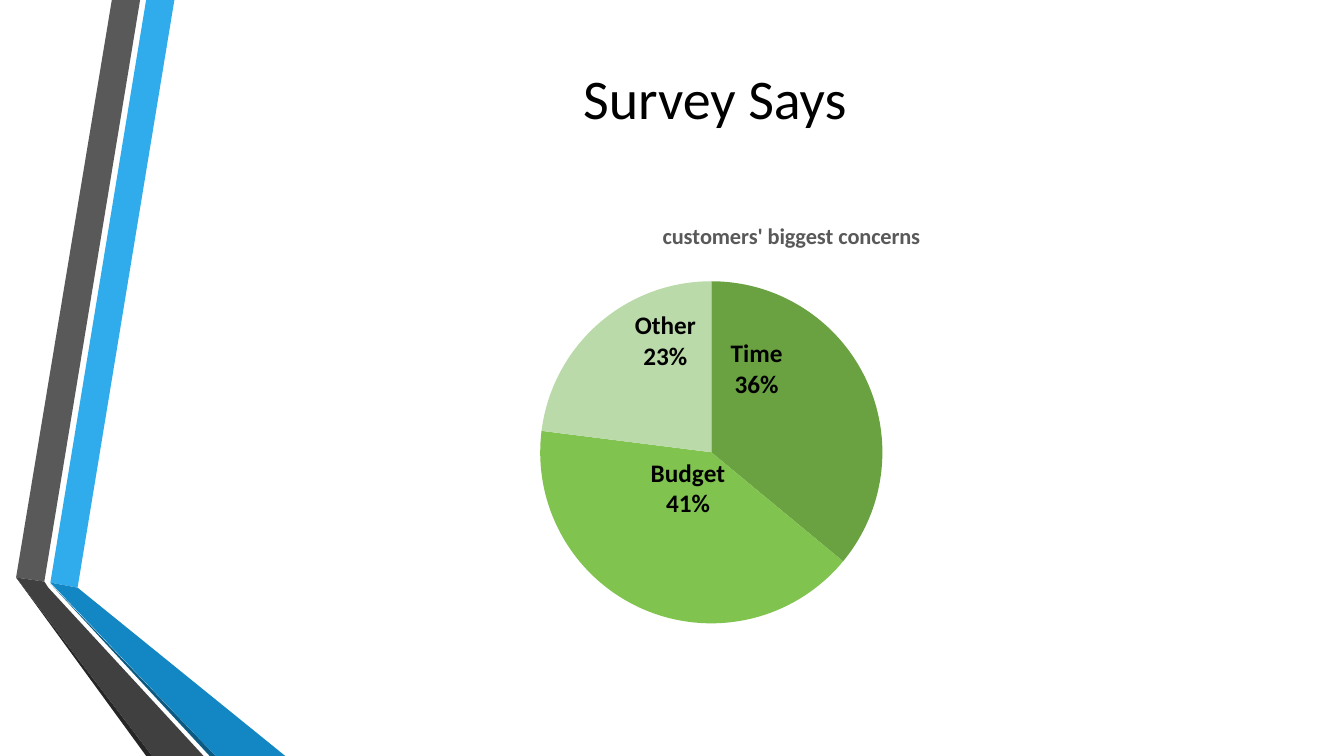
from lxml.etree import SubElement
from pptx import Presentation
from pptx.chart.data import CategoryChartData
from pptx.dml.color import RGBColor
from pptx.enum.chart import XL_CHART_TYPE, XL_LABEL_POSITION
from pptx.enum.text import MSO_ANCHOR, PP_ALIGN
from pptx.oxml import parse_xml
from pptx.oxml.ns import nsdecls, qn
from pptx.util import Inches, Pt

COLUMNS, ROWS = 1333, 750
CELL = Inches(0.01)
FONT = "Calibri"

COLORS = {
    "sky": "30ACEC", "blue": "1287C3", "navy": "0C5A82",
    "gray": "595959", "charcoal": "404040", "coal": "262626",
    "black": "000000",
    "Time": "6AA242", "Budget": "80C34F", "Other": "BADAAA",
}

RIBBONS = [
    ("sky", [(50, 578), (77, 583), (173, 0), (145, 0)]),
    ("gray", [(139, 0), (111, 0), (16, 573), (44, 577)]),
    ("coal", [(16, 573), (145, ROWS), (151, ROWS)]),
    ("navy", [(50, 579), (208, ROWS), (214, ROWS)]),
    ("blue", [(50, 578), (214, ROWS), (283, ROWS), (77, 583)]),
    ("charcoal", [(202, ROWS), (48, 583), (44, 577), (16, 573), (151, ROWS)]),
]

CONCERNS = {"Time": 36, "Budget": 41, "Other": 23}
LABEL_SHIFTS = {"Time": (-0.03, -0.1), "Budget": (0.01, -0.09), "Other": (0.01, -0.1)}

FORMATS = {
    "heading": {"name": FONT, "size": Pt(40), "bold": False},
    "chart": {"name": FONT, "size": Pt(10)},
    "chart title": {"name": FONT, "size": Pt(16), "bold": True},
    "slice label": {"name": FONT, "size": Pt(18), "bold": True},
}
LABEL_CONTENT = {
    "show_value": False, "show_category_name": True, "show_percentage": True,
    "number_format": "0%", "number_format_is_linked": False,
    "position": XL_LABEL_POSITION.CENTER,
}
SLICE_CONTENT = {"c:showVal": "0", "c:showCatName": "1", "c:showPercent": "1"}


def apply(target, values):
    for attribute, value in values.items():
        setattr(target, attribute, value)


def style_font(font, style, color):
    apply(font, FORMATS[style])
    font.color.rgb = RGBColor.from_string(COLORS[color])


def paint(fill, color):
    fill.solid()
    fill.fore_color.rgb = RGBColor.from_string(COLORS[color])


def area(left, top, width, height):
    return [CELL * span for span in (left, top, width, height)]


def layout_xml(**places):
    inner = "".join(f'<c:{tag} val="{value}"/>' for tag, value in places.items())
    return parse_xml(f'<c:layout {nsdecls("c")}><c:manualLayout>{inner}'
                     '</c:manualLayout></c:layout>')


def add_ribbon(slide, color, corners):
    builder = slide.shapes.build_freeform(*corners[0], scale=CELL)
    builder.add_line_segments(corners[1:], close=True)
    ribbon = builder.convert_to_shape()
    ribbon.shadow.inherit = False
    paint(ribbon.fill, color)
    ribbon.line.fill.background()


def add_heading(slide, wording):
    frame = slide.shapes.add_textbox(*area(161, 0, 1096, 192)).text_frame
    apply(frame, {"word_wrap": True, "vertical_anchor": MSO_ANCHOR.MIDDLE})
    line = frame.paragraphs[0]
    line.alignment = PP_ALIGN.CENTER
    run = line.add_run()
    run.text = wording
    style_font(run.font, "heading", "black")


def title_chart(chart, wording):
    title = chart.chart_title
    title.include_in_layout = False
    run = title.text_frame.paragraphs[0].add_run()
    run.text = wording
    style_font(run.font, "chart title", "gray")
    title._element.find(qn("c:tx")).addnext(
        layout_xml(xMode="edge", yMode="edge", x=0.265, y=0.06))


def label_slice(series, index, concern):
    label = series.points[index].data_label
    style_font(label.font, "slice label", "black")
    label.position = XL_LABEL_POSITION.CENTER
    element = series.data_labels._element.findall(qn("c:dLbl"))[index]
    for tag, value in SLICE_CONTENT.items():
        element.find(qn(tag)).set("val", value)
    SubElement(element, qn("c:separator")).text = "\n"
    across, down = LABEL_SHIFTS[concern]
    element.find(qn("c:idx")).addnext(layout_xml(x=across, y=down))


def add_concerns_pie(slide):
    data = CategoryChartData()
    data.categories = list(CONCERNS)
    data.add_series("Series 1", list(CONCERNS.values()))
    chart = slide.shapes.add_chart(
        XL_CHART_TYPE.PIE, *area(255, 200, 1060, 465), data).chart
    chart.has_legend = False
    style_font(chart.font, "chart", "black")
    title_chart(chart, "customers' biggest concerns")

    plot = chart.plots[0]
    plot.vary_by_categories = True
    pie = plot.series[0]
    apply(pie.data_labels, LABEL_CONTENT)
    style_font(pie.data_labels.font, "slice label", "black")
    for index, concern in enumerate(CONCERNS):
        wedge = pie.points[index].format
        paint(wedge.fill, concern)
        wedge.line.fill.background()
        label_slice(pie, index, concern)

    plot_area = chart._chartSpace.chart.plotArea
    for automatic in plot_area.findall(qn("c:layout")):
        plot_area.remove(automatic)
    plot_area.insert(0, layout_xml(layoutTarget="inner", xMode="edge", yMode="edge",
                                   x=0, y=0.17, w=0.85, h=0.73))


def main():
    deck = Presentation()
    apply(deck, {"slide_width": CELL * COLUMNS, "slide_height": CELL * ROWS})
    slide = deck.slides.add_slide(deck.slide_layouts[6])
    for color, corners in RIBBONS:
        add_ribbon(slide, color, corners)
    add_heading(slide, "Survey Says")
    add_concerns_pie(slide)
    deck.save("out.pptx")


main()
